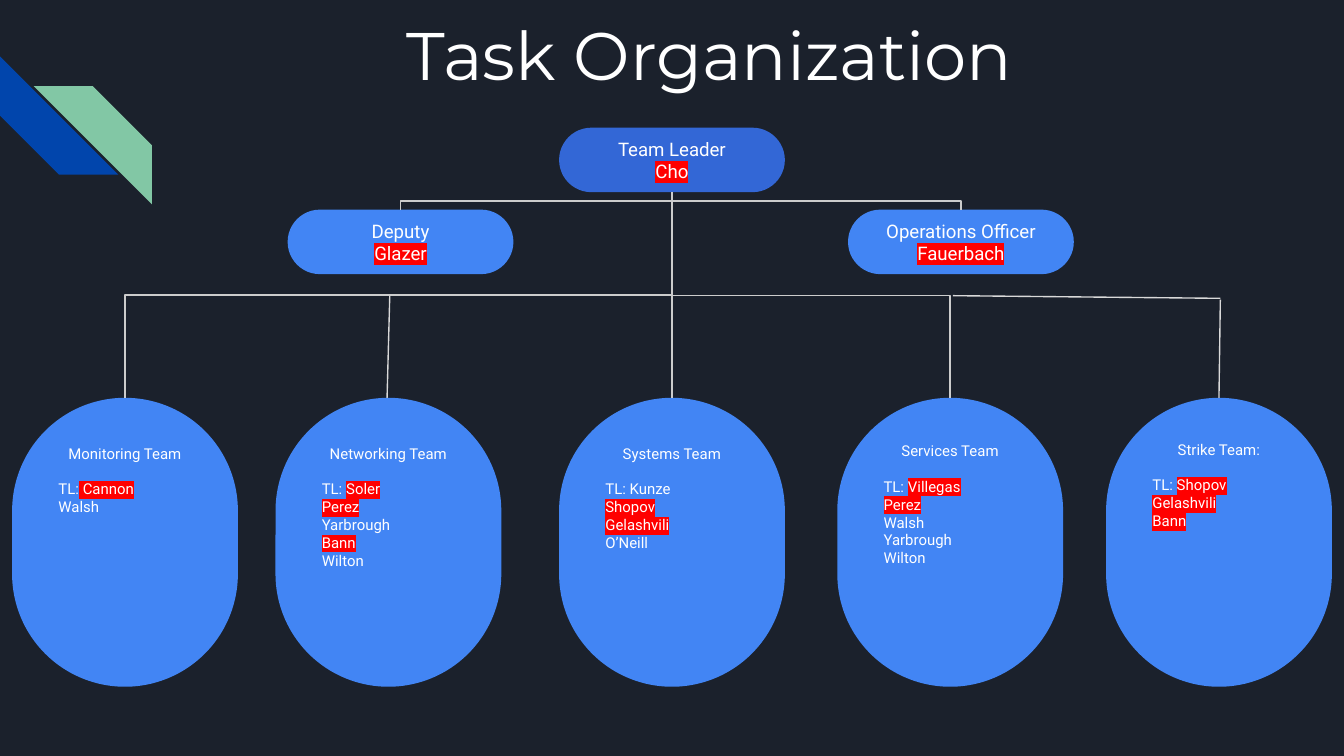
"""Build the Task Organization chart slide."""
from lxml.etree import SubElement
from pptx import Presentation
from pptx.dml.color import RGBColor
from pptx.enum.shapes import MSO_CONNECTOR, MSO_SHAPE
from pptx.enum.text import MSO_ANCHOR, PP_ALIGN
from pptx.oxml.ns import qn
from pptx.util import Inches, Pt

COLORS = {
    "background": "1B212C", "navy": "0145AC", "green": "82C7A5",
    "leader": "3367D6", "blue": "4285F4", "white": "FFFFFF",
    "mark": "FF0000", "branch": "CCCCCC", "link": "D9D9D9",
}


def write_text(frame, lines, size=8, font="Roboto", centered=1, gap=0, top=0.1,
               anchor=MSO_ANCHOR.TOP):
    """Write (plain, marked) lines; the first `centered` lines are centred."""
    frame.word_wrap = True
    frame.vertical_anchor = anchor
    frame.margin_left = frame.margin_right = frame.margin_bottom = Inches(0.1)
    frame.margin_top = Inches(top)
    for index, line in enumerate(lines):
        para = frame.paragraphs[0] if index == 0 else frame.add_paragraph()
        para.alignment = PP_ALIGN.CENTER if index < centered else PP_ALIGN.LEFT
        if index == 0:
            para.space_after = Pt(gap)
        for text, marked in zip(line, (False, True)):
            if not text:
                continue
            span = para.add_run()
            span.text = text
            span.font.size = Pt(size)
            span.font.color.rgb = RGBColor.from_string(COLORS["white"])
            if marked:
                properties = span.font._element
                highlight = SubElement(properties, qn("a:highlight"))
                SubElement(highlight, qn("a:srgbClr"), val=COLORS["mark"])
            span.font.name = font


def add_box(kind, left, top, width, height, color):
    """Add a filled shape without outline or shadow."""
    box = slide.shapes.add_shape(
        kind, Inches(left), Inches(top), Inches(width), Inches(height))
    box.adjustments[0] = 0.5
    box.shadow.inherit = False
    box.fill.solid()
    box.fill.fore_color.rgb = RGBColor.from_string(COLORS[color])
    box.line.fill.background()
    return box


deck = Presentation()
deck.slide_width, deck.slide_height = Inches(10), Inches(10 * 9 / 16)
slide = deck.slides.add_slide(deck.slide_layouts[6])
slide.background.fill.solid()
slide.background.fill.fore_color.rgb = RGBColor.from_string(COLORS["background"])

navy_stripe = add_box(MSO_SHAPE.DIAGONAL_STRIPE, 0, 0.42, 0.88, 0.88, "navy")
navy_stripe.rotation = 270
green_stripe = add_box(MSO_SHAPE.DIAGONAL_STRIPE, 0.25, 0.64, 0.88, 0.88, "green")
green_stripe._element.spPr.find(qn("a:xfrm")).set("flipH", "1")

title = slide.shapes.add_textbox(Inches(1.43), Inches(0), Inches(7.7), Inches(1))
write_text(title.text_frame, [("Task Organization", "")], size=36, font="Montserrat")

box_width, role_height, team_top, team_height = 1.68, 0.48, 2.96, 2.15

roles = [
    (4.16, 0.95, "leader", "Team Leader", "Cho"),
    (6.31, 1.56, "blue", "Operations Officer", "Fauerbach"),
    (2.14, 1.56, "blue", "Deputy", "Glazer"),
]
for left, top, color, role, person in roles:
    box = add_box(MSO_SHAPE.ROUNDED_RECTANGLE, left, top, box_width, role_height, color)
    write_text(box.text_frame, [(role, ""), ("", person)], size=10, centered=2,
               anchor=MSO_ANCHOR.MIDDLE)

teams = [
    (0.09, 0.1, "Monitoring Team", [("TL:", " Cannon"), ("Walsh", "")]),
    (2.05, 0.1, "Networking Team", [
        ("TL: ", "Soler"), ("", "Perez"), ("Yarbrough", ""), ("", "Bann"),
        ("Wilton", "")]),
    (4.16, 0.1, "Systems Team", [
        ("TL: Kunze", ""), ("", "Shopov"), ("", "Gelashvili"), ("O’Neill", "")]),
    (6.23, 0.08, "Services Team", [
        ("TL: ", "Villegas"), ("", "Perez"), ("Walsh", ""), ("Yarbrough", ""),
        ("Wilton", "")]),
    (8.23, 0.07, "Strike Team:", [
        ("TL: ", "Shopov"), ("", "Gelashvili"), ("", "Bann")]),
]
for left, inset, name, members in teams:
    box = add_box(MSO_SHAPE.ROUNDED_RECTANGLE, left, team_top, box_width, team_height, "blue")
    write_text(box.text_frame, [(name, "")] + members, gap=9.6, top=inset)

lines = [
    ("bentConnector3", 5, 1.43, 7.15, 1.56, "branch"),
    ("bentConnector3", 2.98, 1.56, 5, 1.43, "branch"),
    ("bentConnector3", 0.93, 2.96, 5, 1.43, "branch"),
    ("bentConnector2", 4.27, 2.2, 7.07, 2.96, "branch"),
    ("line", 5, 2.96, 5, 1.43, "branch"),
    ("line", 9.07, 2.96, 9.08, 2.23, "link"),
    ("line", 9.08, 2.22, 7.09, 2.2, "link"),
    ("line", 2.88, 2.96, 2.9, 2.2, "link"),
]
for preset, start_x, start_y, end_x, end_y, color in lines:
    upright = preset == "bentConnector3"
    if upright:
        center_x, center_y = (start_x + end_x) / 2, (start_y + end_y) / 2
        half_x, half_y = (start_y - end_y) / 2, (end_x - start_x) / 2
        start_x, end_x = center_x - half_x, center_x + half_x
        start_y, end_y = center_y - half_y, center_y + half_y
    kind = MSO_CONNECTOR.STRAIGHT if preset == "line" else MSO_CONNECTOR.ELBOW
    connector = slide.shapes.add_connector(
        kind, Inches(start_x), Inches(start_y), Inches(end_x), Inches(end_y))
    connector.line.color.rgb = RGBColor.from_string(COLORS[color])
    connector.line.width = Pt(0.75)
    properties = connector._element.spPr
    properties.find(qn("a:prstGeom")).set("prst", preset)
    if upright:
        properties.find(qn("a:xfrm")).set("rot", str(270 * 60000))
    SubElement(properties, qn("a:effectLst"))

deck.save("out.pptx")
